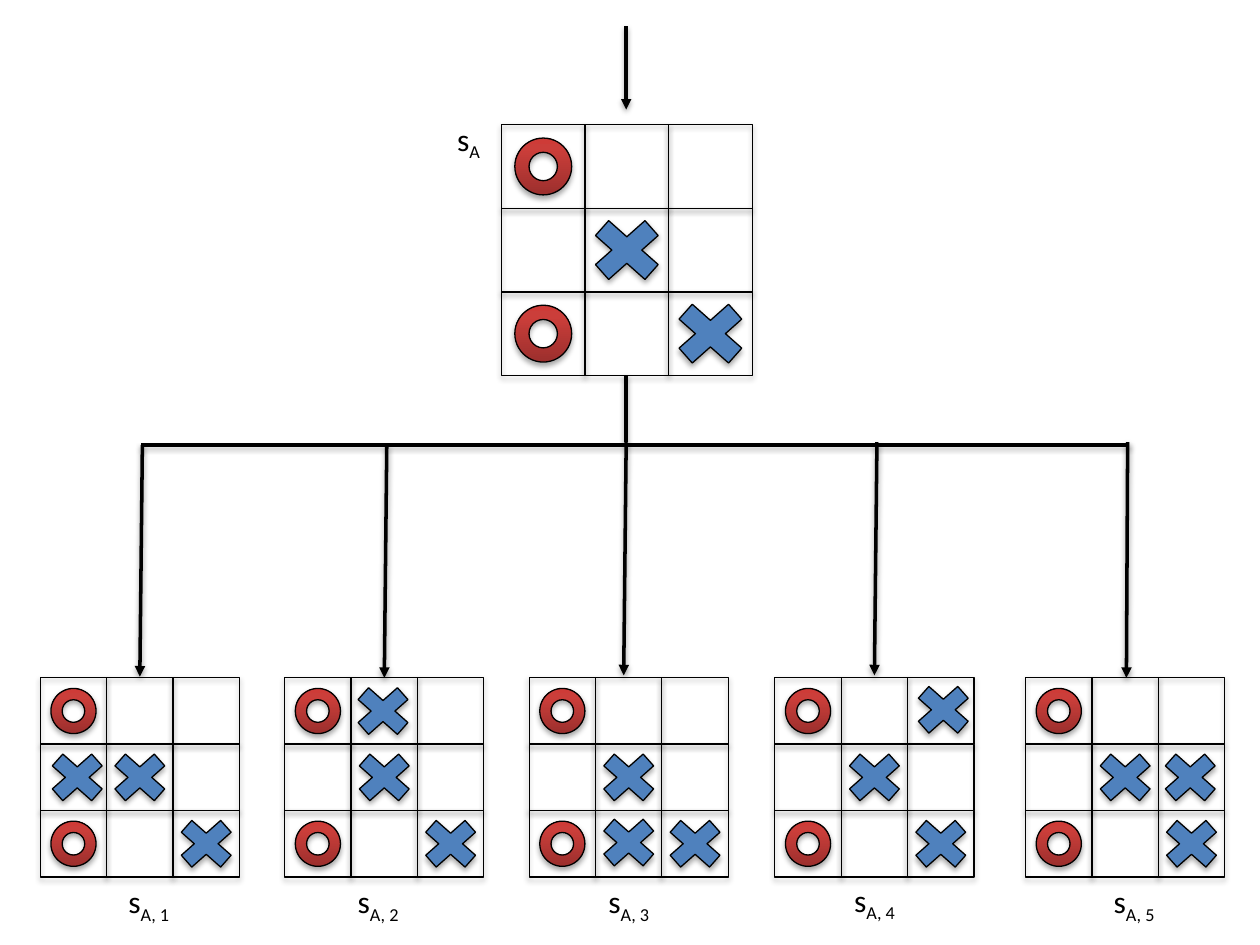
from itertools import product

from lxml import etree
from pptx import Presentation
from pptx.dml.color import RGBColor
from pptx.enum import shapes
from pptx.oxml.ns import qn
from pptx.util import Inches, Pt

COLORS = {"ink": "000000", "cross": "4F81BD"}
RING_STOPS = [(0, "9C2F2D"), (80, "CB3E3A"), (100, "CE3B37")]
FONT = "Calibri"

ROOT_SIDE, CHILD_SIDE = 1.99, 1.58
START = {"O": [(0, 0), (0, 2)], "X": [(1, 1), (2, 2)]}

# Board corner, added cross (column, row), its nudge, label corner
CHILDREN = [
    ((0.32, 5.38), (0, 1), (0.03, 0), (0.92, 6.95)),
    ((2.26, 5.38), (1, 0), (-0.01, 0), (2.74, 6.95)),
    ((4.20, 5.38), (1, 2), (0, -0.01), (4.73, 6.95)),
    ((6.15, 5.38), (2, 0), (0.02, -0.01), (6.68, 6.94)),
    ((8.14, 5.38), (2, 1), (-0.01, 0), (8.74, 6.95)),
]

# Arrow start and end points
ARROWS = [
    ((1.13, 3.53), (1.11, 5.37)),
    ((3.07, 3.53), (3.05, 5.38)),
    ((4.97, 3.51), (4.95, 5.36)),
    ((6.96, 3.51), (6.94, 5.36)),
    ((8.95, 3.51), (8.94, 5.38)),
    ((4.97, 0.21), (4.97, 0.87)),
]
LINES = [((4.97, 2.98), (4.97, 3.51)), ((1.12, 3.53), (8.96, 3.53))]


def rgb(name):
    return RGBColor.from_string(COLORS[name])


def add_shadow(shape, opacity, distance):
    effects = etree.SubElement(shape._element.spPr, qn("a:effectLst"))
    shadow = etree.SubElement(
        effects, qn("a:outerShdw"), blurRad="40000", dist=str(distance),
        dir="5400000", rotWithShape="0")
    color = etree.SubElement(shadow, qn("a:srgbClr"), val=COLORS["ink"])
    etree.SubElement(color, qn("a:alpha"), val=str(opacity * 1000))


def add_piece(parent, kind, center, width, height):
    """Add an outlined, shadowed shape around a center point."""
    left, top = center[0] - width / 2, center[1] - height / 2
    piece = parent.add_shape(
        kind, Inches(left), Inches(top), Inches(width), Inches(height))
    piece.fill.background()
    piece.line.color.rgb = rgb("ink")
    piece.line.width = Pt(0.75)
    add_shadow(piece, 35, 23000)
    return piece


def add_cross(parent, center, cell):
    cross = add_piece(parent, shapes.MSO_SHAPE.MATH_MULTIPLY, center,
                      cell * 1.14, cell * 1.01)
    cross.fill.solid()
    cross.fill.fore_color.rgb = rgb("cross")


def add_ring(parent, center, cell):
    ring = add_piece(parent, shapes.MSO_SHAPE.DONUT, center,
                     cell * 0.68, cell * 0.68)
    ring.fill.gradient()
    ring.fill.gradient_angle = 90
    stops = ring._element.spPr.find(".//" + qn("a:gsLst"))
    for stop in list(stops):
        stops.remove(stop)
    for position, color in RING_STOPS:
        stop = etree.SubElement(stops, qn("a:gs"), pos=str(position * 1000))
        etree.SubElement(stop, qn("a:srgbClr"), val=color)


def cell_center(corner, cell, square):
    return tuple(start + (index + 0.5) * cell
                 for start, index in zip(corner, square))


def add_board(slide, corner, side):
    """Add a grouped 3 by 3 board holding the starting marks."""
    board = slide.shapes.add_group_shape().shapes
    cell = side / 3
    for row, column in product(range(3), repeat=2):
        add_piece(board, shapes.MSO_SHAPE.RECTANGLE,
                  cell_center(corner, cell, (column, row)), cell, cell)
    for square in START["X"]:
        add_cross(board, cell_center(corner, cell, square), cell)
    for square in START["O"]:
        add_ring(board, cell_center(corner, cell, square), cell)


def add_line(slide, start, end, arrow=False):
    line = slide.shapes.add_connector(
        shapes.MSO_CONNECTOR.STRAIGHT, *map(Inches, start + end))
    line.line.color.rgb = rgb("ink")
    line.line.width = Pt(2)
    if arrow:
        etree.SubElement(line.line._get_or_add_ln(), qn("a:tailEnd"),
                         type="triangle")
    add_shadow(line, 38, 20000)


def add_label(slide, corner, subscript):
    label = slide.shapes.add_textbox(
        *map(Inches, corner), Inches(0.65), Inches(0.44))
    paragraph = label.text_frame.paragraphs[0]
    for wording in ("s", subscript):
        run = paragraph.add_run()
        run.text = wording
        run.font.name = FONT
        run.font.size = Pt(18)
        run.font.color.rgb = rgb("ink")
    run.font._element.set("baseline", "-25000")


def main():
    deck = Presentation()
    deck.slide_width, deck.slide_height = Inches(10), Inches(7.5)
    slide = deck.slides.add_slide(deck.slide_layouts[6])

    # Current state
    add_board(slide, (3.98, 0.99), ROOT_SIDE)
    add_label(slide, (3.53, 0.9), "A")

    # Possible next states
    cell = CHILD_SIDE / 3
    for number, (corner, square, nudge, label) in enumerate(CHILDREN, 1):
        add_board(slide, corner, CHILD_SIDE)
        x, y = cell_center(corner, cell, square)
        add_cross(slide.shapes, (x + nudge[0], y + nudge[1]), cell)
        add_label(slide, label, f"A, {number}")

    # Tree branches
    for start, end in LINES:
        add_line(slide, start, end)
    for start, end in ARROWS:
        add_line(slide, start, end, arrow=True)

    deck.save("out.pptx")


if __name__ == "__main__":
    main()
